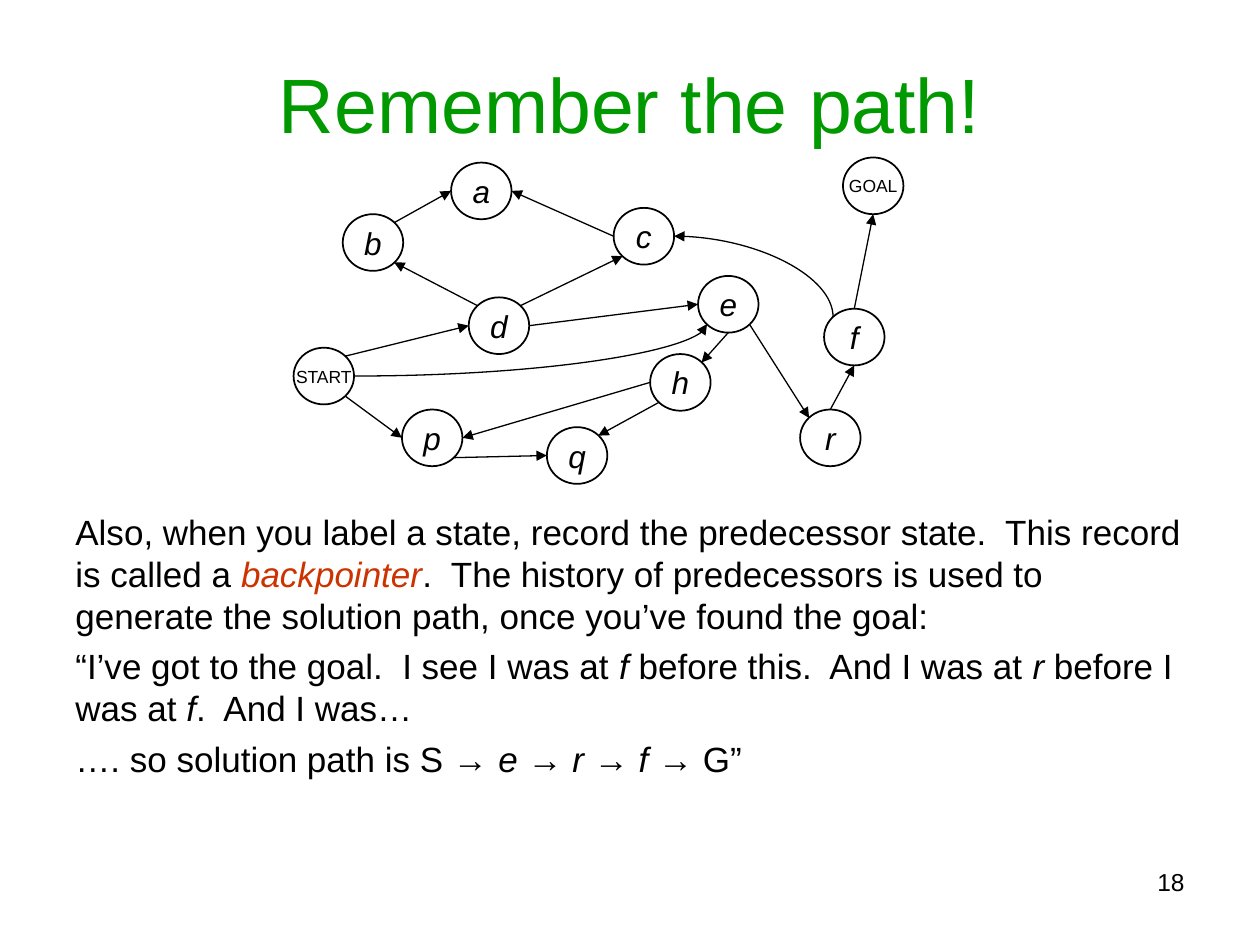
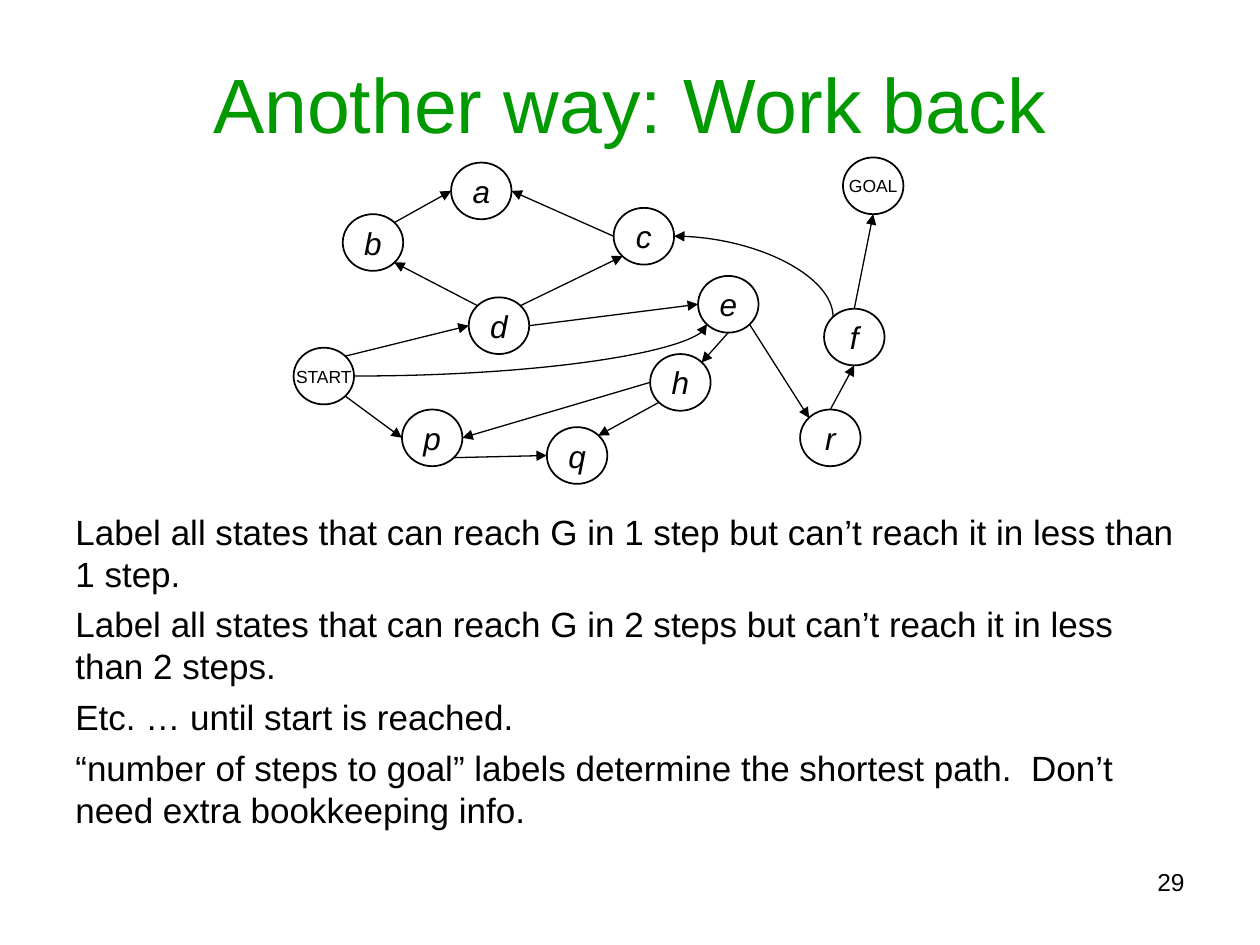
from lxml.etree import SubElement
from pptx import Presentation
from pptx.dml.color import RGBColor
from pptx.enum.shapes import MSO_CONNECTOR as CONNECTOR, MSO_SHAPE as SHAPE
from pptx.enum.text import MSO_ANCHOR as ANCHOR, PP_ALIGN as ALIGN
from pptx.oxml.ns import qn
from pptx.util import Inches, Pt

COLORS = {"title": "009900", "text": "000000", "term": "CC3300", "line": "000000"}
FONT = "Arial"

# Run styles of the body text
PLAIN = {"size": 20, "color": "text"}
STATE = {**PLAIN, "italic": True}
TERM = {**STATE, "color": "term"}

# Slide content: each paragraph is a list of (text, style) runs
SLIDES = [
    {
        "title": "Remember the path!",
        "number": "18",
        "body": [
            [("Also, when you label a state, record the predecessor state.  "
              "This record is called a ", PLAIN),
             ("backpointer", TERM),
             (".  The history of predecessors is used to generate the solution path, "
              "once you’ve found the goal:", PLAIN)],
            [("“I’ve got to the goal.  I see I was at ", PLAIN), ("f ", STATE),
             ("before this.  And I was at ", PLAIN), ("r", STATE),
             (" before I was at ", PLAIN), ("f", STATE), (".  And I was…", PLAIN)],
            [("…. so solution path is S → ", PLAIN), ("e ", STATE), ("→ ", PLAIN),
             ("r ", STATE), ("→ ", PLAIN), ("f ", STATE), ("→ G”", PLAIN)],
        ],
    },
    {
        "title": "Another way: Work back",
        "number": "29",
        "body": [
            [("Label all states that can reach G in 1 step but can’t reach it "
              "in less than 1 step.", PLAIN)],
            [("Label all states that can reach G in 2 steps but can’t reach it "
              "in less than 2 steps.", PLAIN)],
            [("Etc. … until start is reached.", PLAIN)],
            [("“number of steps to goal” labels determine the shortest path.  "
              "Don’t need extra bookkeeping info.", PLAIN)],
        ],
    },
]

# State graph: left and top of each node, in inches
NODE_SIZE = (0.48, 0.45)
NODES = {
    "START": (2.33, 2.76), "GOAL": (6.69, 1.25), "d": (3.72, 2.36), "b": (2.72, 1.7),
    "p": (3.19, 3.25), "q": (4.34, 3.39), "c": (4.87, 1.65), "e": (5.54, 2.19),
    "h": (5.16, 2.81), "a": (3.58, 1.29), "f": (6.54, 2.45), "r": (6.35, 3.25),
}
# Points on a node's rim, as fractions of its width and height
RIM = {
    "N": (0.5, 0), "NE": (0.85, 0.15), "E": (1, 0.5), "SE": (0.85, 0.85),
    "S": (0.5, 1), "SW": (0.15, 0.85), "W": (0, 0.5), "NW": (0.15, 0.15),
}
STRAIGHT_EDGES = [
    ("START", "SE", "p", "W"), ("p", "SE", "q", "W"), ("h", "SW", "q", "NE"),
    ("h", "W", "p", "E"), ("e", "S", "h", "NE"), ("e", "SE", "r", "NW"),
    ("r", "N", "f", "S"), ("f", "N", "GOAL", "S"), ("START", "NE", "d", "W"),
    ("d", "NW", "b", "SE"), ("b", "NE", "a", "W"), ("c", "W", "a", "E"),
    ("d", "NE", "c", "SW"), ("d", "E", "e", "W"),
]
# The last value tells whether the curve leaves its node upwards
CURVED_EDGES = [("f", "NW", "c", "E", True), ("START", "E", "e", "SW", False)]


def rgb(name):
    return RGBColor.from_string(COLORS[name])


def add_run(paragraph, text, style):
    run = paragraph.add_run()
    run.text = text
    formats = {"name": FONT, "size": Pt(style["size"]), "italic": style.get("italic", False)}
    for attribute, value in formats.items():
        setattr(run.font, attribute, value)
    run.font.color.rgb = rgb(style["color"])


def set_frame(frame, **formats):
    for attribute, value in formats.items():
        setattr(frame, attribute, value)


def place(shape, left, top, width, height):
    for attribute, value in zip(("left", "top", "width", "height"), (left, top, width, height)):
        setattr(shape, attribute, Inches(value))


def rim_point(node, side):
    return [start + part * size for start, part, size in zip(NODES[node], RIM[side], NODE_SIZE)]


def add_node(shapes, label, position):
    node = shapes.add_shape(SHAPE.FLOWCHART_CONNECTOR,
                            *(Inches(value) for value in position + NODE_SIZE))
    node.shadow.inherit = False
    node.fill.background()
    node.line.color.rgb = rgb("line")
    node.line.width = Pt(1)
    set_frame(node.text_frame, word_wrap=False, vertical_anchor=ANCHOR.MIDDLE)
    paragraph = node.text_frame.paragraphs[0]
    paragraph.alignment = ALIGN.CENTER
    is_state = len(label) == 1
    add_run(paragraph, label, {"size": 18 if is_state else 10, "color": "text", "italic": is_state})


def add_arrow(shapes, kind, begin, end):
    arrow = shapes.add_connector(kind, *(Inches(value) for value in (*begin, *end)))
    arrow.line.color.rgb = rgb("line")
    arrow.line.width = Pt(0.75)
    properties = arrow.element.spPr
    SubElement(properties.find(qn("a:ln")), qn("a:tailEnd"), type="triangle")
    SubElement(properties, qn("a:effectLst"))
    return properties


def add_curve(shapes, begin, end, leaves_upwards):
    if leaves_upwards:
        # Turn the end points clockwise about the middle; the rotation turns them back
        (x1, y1), (x2, y2) = begin, end
        x, y, dx, dy = (x1 + x2) / 2, (y1 + y2) / 2, (x2 - x1) / 2, (y2 - y1) / 2
        begin, end = (x + dy, y - dx), (x - dy, y + dx)
    properties = add_arrow(shapes, CONNECTOR.CURVE, begin, end)
    properties.find(qn("a:prstGeom")).set("prst", "curvedConnector2")
    if leaves_upwards:
        properties.find(qn("a:xfrm")).set("rot", str(270 * 60000))


def add_graph(slide):
    shapes = slide.shapes.add_group_shape().shapes
    for label, position in NODES.items():
        add_node(shapes, label, position)
    for source, source_side, target, target_side in STRAIGHT_EDGES:
        add_arrow(shapes, CONNECTOR.STRAIGHT,
                  rim_point(source, source_side), rim_point(target, target_side))
    for source, source_side, target, target_side, leaves_upwards in CURVED_EDGES:
        add_curve(shapes, rim_point(source, source_side),
                  rim_point(target, target_side), leaves_upwards)


def add_text(slide, box, paragraphs, alignment=ALIGN.LEFT):
    shape = slide.shapes.add_textbox(*(Inches(value) for value in box))
    frame = shape.text_frame
    frame.word_wrap = True
    for index, runs in enumerate(paragraphs):
        paragraph = frame.add_paragraph() if index else frame.paragraphs[0]
        paragraph.alignment = alignment
        paragraph.space_before = Pt(5 if index else 0)
        for text, style in runs:
            add_run(paragraph, text, style)


def add_title(slide, text):
    title = slide.shapes.title
    place(title, 0.5, 0.3, 9, 1.03)
    set_frame(title.text_frame, word_wrap=True, vertical_anchor=ANCHOR.MIDDLE)
    paragraph = title.text_frame.paragraphs[0]
    paragraph.alignment = ALIGN.CENTER
    add_run(paragraph, text, {"size": 44, "color": "title"})


def main():
    presentation = Presentation()
    presentation.slide_width, presentation.slide_height = Inches(10), Inches(7.5)
    title_only = presentation.slide_layouts.get_by_name("Title Only")
    for content in SLIDES:
        slide = presentation.slides.add_slide(title_only)
        add_title(slide, content["title"])
        add_text(slide, (0.5, 4, 9, 2.7), content["body"])
        add_graph(slide)
        number = [(content["number"], {"size": 14, "color": "text"})]
        add_text(slide, (4.83, 6.83, 4.67, 0.52), [number], ALIGN.RIGHT)
    presentation.save("out.pptx")


if __name__ == "__main__":
    main()
